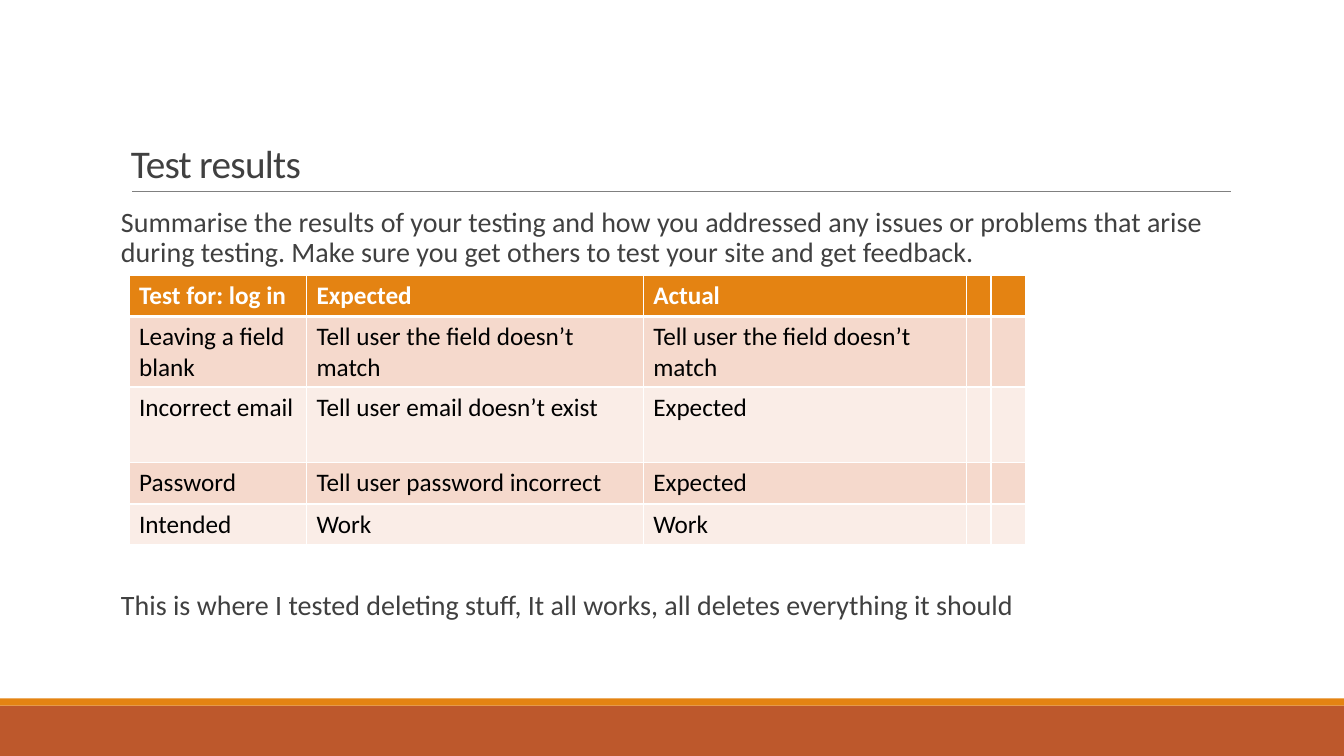
from dataclasses import dataclass

import pptx
import pptx.dml.color
import pptx.enum.shapes
import pptx.enum.text
import pptx.oxml.ns
import pptx.util
from lxml import etree

Inches = pptx.util.Inches
Pt = pptx.util.Pt


@dataclass(frozen=True)
class Theme:
    font: str = "Calibri"
    white: str = "FFFFFF"
    black: str = "000000"
    text: str = "404040"
    rule: str = "808080"
    rust: str = "BD582C"
    orange: str = "E48312"
    bands: tuple[str, str] = ("F5D9CC", "FAEDE7")
    title_size: float = 28
    body_size: float = 20
    table_size: float = 18


@dataclass(frozen=True)
class Band:
    top: float
    height: float
    color: str


@dataclass(frozen=True)
class TextBox:
    top: float
    height: float
    inset: float
    anchor: pptx.enum.text.MSO_ANCHOR


THEME = Theme()
SLIDE_W, SLIDE_H = 13.33, 7.5
TEXT_LEFT, TEXT_W = 1.2, 11
FOOTER = [Band(7, 0.5, THEME.rust), Band(6.93, 0.07, THEME.orange)]
TITLE_BOX = TextBox(0.31, 1.59, 0.1, pptx.enum.text.MSO_ANCHOR.BOTTOM)
BODY_BOX = TextBox(2.02, 4.4, 0, pptx.enum.text.MSO_ANCHOR.TOP)
TABLE_LEFT, TABLE_TOP = 1.28, 2.73
COL_WIDTHS = [1.76, 3.34, 3.21, 0.23, 0.34]
ROW_HEIGHTS = [0.41, 0.7, 0.75, 0.41, 0.4]
ROWS = [
    ["Test for: log in", "Expected", "Actual"],
    ["Leaving a field blank", "Tell user the field doesn’t match",
     "Tell user the field doesn’t match"],
    ["Incorrect email", "Tell user email doesn’t exist", "Expected"],
    ["Password", "Tell user password incorrect", "Expected"],
    ["Intended", "Work", "Work"],
]
SUMMARY = ("Summarise the results of your testing and how you addressed any issues "
           "or problems that arise during testing. Make sure you get others to test "
           "your site and get feedback.")
CLOSING = "This is where I tested deleting stuff, It all works, all deletes everything it should"
CLOSING_GAP = 228  # points that clear the table


def rgb(color: str) -> pptx.dml.color.RGBColor:
    return pptx.dml.color.RGBColor.from_string(color)


def write(p, text: str, *, size: float, color: str, bold: bool = False,
          line: float = 1, before: float = 0, after: float = 0,
          tracking: float = 0) -> None:
    """Add formatted text to a paragraph; spacing and tracking are in points."""
    p.line_spacing = line
    p.space_before, p.space_after = Pt(before), Pt(after)
    r = p.add_run()
    r.text = text
    r.font.name, r.font.size, r.font.bold = THEME.font, Pt(size), bold
    r.font.color.rgb = rgb(color)
    if tracking:
        r.font._element.set("spc", str(round(tracking * 100)))


def add_text_box(s, box: TextBox):
    sp = s.shapes.add_textbox(Inches(TEXT_LEFT), Inches(box.top),
                              Inches(TEXT_W), Inches(box.height))
    tf = sp.text_frame
    tf.word_wrap = True
    tf.vertical_anchor = box.anchor
    tf.margin_left = tf.margin_right = Inches(box.inset)
    return tf


def add_band(s, band: Band) -> None:
    sp = s.shapes.add_shape(pptx.enum.shapes.MSO_SHAPE.RECTANGLE, 0, Inches(band.top),
                            Inches(SLIDE_W), Inches(band.height))
    sp.shadow.inherit = False
    sp.fill.solid()
    sp.fill.fore_color.rgb = rgb(band.color)
    sp.line.fill.background()


def add_rule(s) -> None:
    line = s.shapes.add_connector(pptx.enum.shapes.MSO_CONNECTOR.STRAIGHT, Inches(1.31),
                                  Inches(1.9), Inches(12.21), Inches(1.9))
    line.line.color.rgb = rgb(THEME.rule)
    line.line.width = Pt(0.5)
    etree.SubElement(line._element.spPr, pptx.oxml.ns.qn("a:effectLst"))


def style_cell(cell, fill: str, borders: dict[str, float]) -> None:
    """Fill a cell and give it white borders, keyed by side with widths in points."""
    qn = pptx.oxml.ns.qn
    cell.fill.solid()
    cell.fill.fore_color.rgb = rgb(fill)
    props = cell._tc.get_or_add_tcPr()
    for i, (side, width) in enumerate(borders.items()):
        ln = etree.Element(qn(f"a:ln{side}"), w=str(Pt(width)))
        solid = etree.SubElement(ln, qn("a:solidFill"))
        etree.SubElement(solid, qn("a:srgbClr"), val=THEME.white)
        props.insert(i, ln)


def add_results_table(s) -> None:
    table = s.shapes.add_table(len(ROWS), len(COL_WIDTHS), Inches(TABLE_LEFT),
                               Inches(TABLE_TOP), Inches(sum(COL_WIDTHS)),
                               Inches(sum(ROW_HEIGHTS))).table
    for col, width in zip(table.columns, COL_WIDTHS):
        col.width = Inches(width)
    for i, (row, height, texts) in enumerate(zip(table.rows, ROW_HEIGHTS, ROWS)):
        row.height = Inches(height)
        header = i == 0
        fill = THEME.orange if header else THEME.bands[(i - 1) % 2]
        borders = {"L": 1, "R": 1, "T": 3 if i == 1 else 1, "B": 3 if header else 1}
        for cell in row.cells:
            style_cell(cell, fill, borders)
        for cell, text in zip(row.cells, texts):
            write(cell.text_frame.paragraphs[0], text, size=THEME.table_size,
                  color=THEME.white if header else THEME.black, bold=header)


def main() -> None:
    prs = pptx.Presentation()
    prs.slide_width, prs.slide_height = Inches(SLIDE_W), Inches(SLIDE_H)
    s = prs.slides.add_slide(prs.slide_layouts[6])
    for band in FOOTER:
        add_band(s, band)
    add_rule(s)
    write(add_text_box(s, TITLE_BOX).paragraphs[0], "Test results",
          size=THEME.title_size, color=THEME.text, line=0.85, tracking=-0.5)
    tf = add_text_box(s, BODY_BOX)
    for p, text, before in [(tf.paragraphs[0], SUMMARY, 0),
                            (tf.add_paragraph(), CLOSING, CLOSING_GAP)]:
        write(p, text, size=THEME.body_size, color=THEME.text,
              line=0.9, before=before, after=2)
    add_results_table(s)
    prs.save("out.pptx")


if __name__ == "__main__":
    main()
